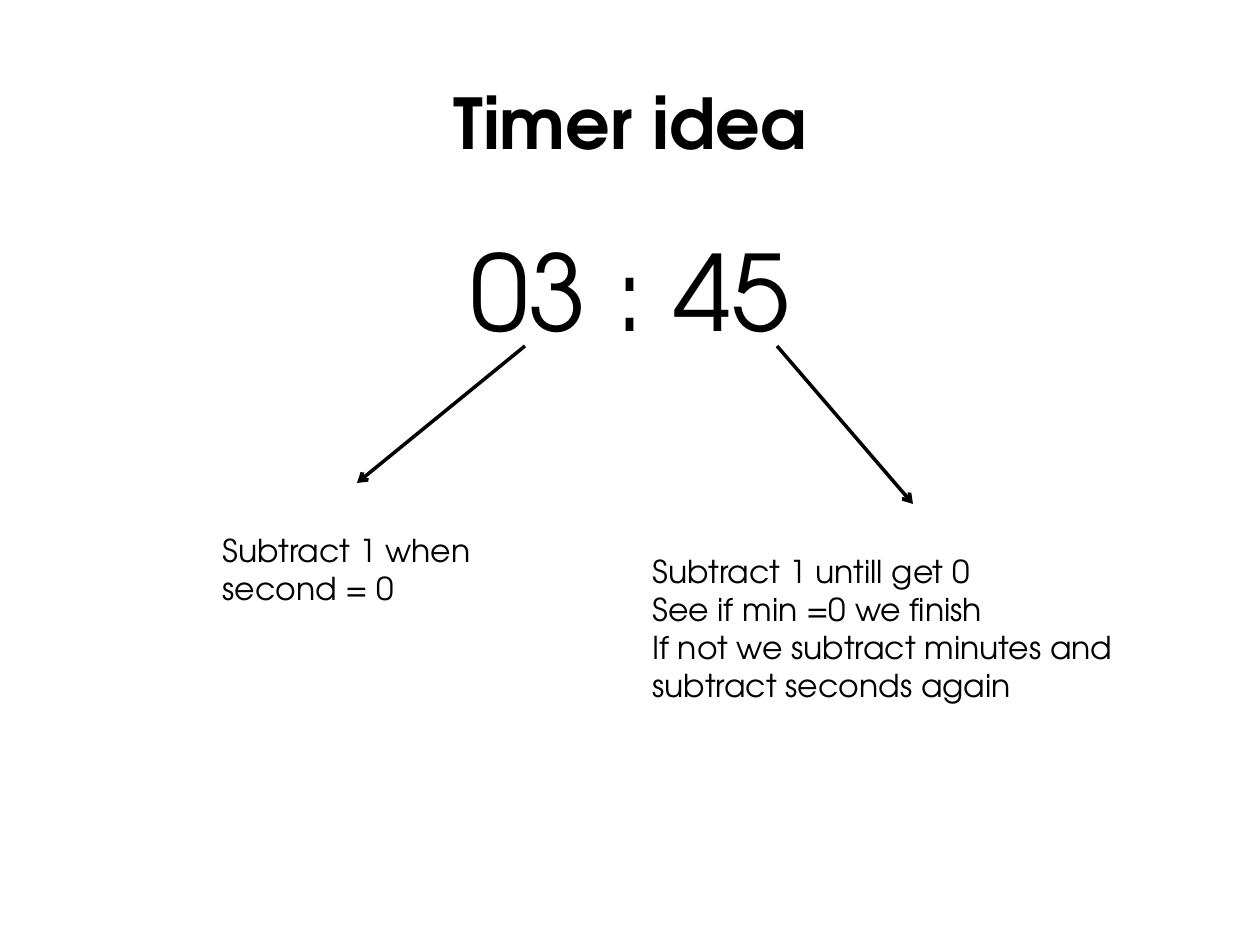
from dataclasses import dataclass

from lxml import etree
from pptx import Presentation
from pptx.dml.color import RGBColor
from pptx.enum.shapes import MSO_CONNECTOR
from pptx.enum.text import MSO_ANCHOR, MSO_AUTO_SIZE, PP_ALIGN
from pptx.oxml.ns import qn
from pptx.util import Pt

STRAIGHT = MSO_CONNECTOR.STRAIGHT
TOP = MSO_ANCHOR.TOP
NO_AUTOFIT = MSO_AUTO_SIZE.NONE
LEFT, CENTER = PP_ALIGN.LEFT, PP_ALIGN.CENTER

PX = 914400 // 126  # EMU per pixel
SLIDE_W, SLIDE_H = 1260, 945


@dataclass(frozen=True)
class Theme:
    font: str = "TeX Gyre Adventor"
    ink: RGBColor = RGBColor(0, 0, 0)
    paper: RGBColor = RGBColor(255, 255, 255)
    title_size: int = 40
    clock_size: int = 60
    note_size: int = 18
    arrow_width: int = 2


theme = Theme()


def write_text(text, box, size, holder=None, bold=False, align=LEFT):
    """Fill a placeholder, or a new text box, with one paragraph per line."""
    left, top, width, height = (v * PX for v in box)
    if holder is None:
        holder = slide.shapes.add_textbox(left, top, width, height)
    else:
        holder.left, holder.top, holder.width, holder.height = left, top, width, height
    frame = holder.text_frame
    frame.word_wrap = True
    frame.auto_size = NO_AUTOFIT
    frame.vertical_anchor = TOP
    frame.text = text
    for paragraph in frame.paragraphs:
        paragraph.alignment = align
        font = paragraph.runs[0].font
        font.name, font.size, font.bold = theme.font, Pt(size), bold
        font.color.rgb = theme.ink


prs = Presentation()
prs.slide_width, prs.slide_height = SLIDE_W * PX, SLIDE_H * PX
slide = prs.slides.add_slide(prs.slide_layouts[5])
slide.background.fill.solid()
slide.background.fill.fore_color.rgb = theme.paper

# Title and clock
write_text("Timer idea", (0, 73, SLIDE_W, 97), theme.title_size,
           holder=slide.shapes.title, bold=True, align=CENTER)
write_text("03 : 45", (0, 220, SLIDE_W, 140), theme.clock_size, align=CENTER)

# Arrows from the clock digits to their notes
ARROW_TOP = 346
for start_x, end_x, end_y in [(777, 913, 504), (525, 357, 483)]:
    arrow = slide.shapes.add_connector(
        STRAIGHT, start_x * PX, ARROW_TOP * PX, end_x * PX, end_y * PX)
    arrow.line.color.rgb = theme.ink
    arrow.line.width = Pt(theme.arrow_width)
    etree.SubElement(arrow.line._get_or_add_ln(), qn("a:tailEnd"), type="arrow")
    etree.SubElement(arrow._element.spPr, qn("a:effectLst"))

# Notes on seconds and minutes
seconds_note = "\n".join([
    "Subtract 1 untill get 0",
    "See if min =0 we finish ",
    "If not we subtract minutes and subtract seconds again",
])
minutes_note = "Subtract 1 when second = 0"
for note, box in [(seconds_note, (640, 546, 567, 165)),
                  (minutes_note, (210, 525, 284, 89))]:
    write_text(note, box, theme.note_size)

prs.save("out.pptx")
